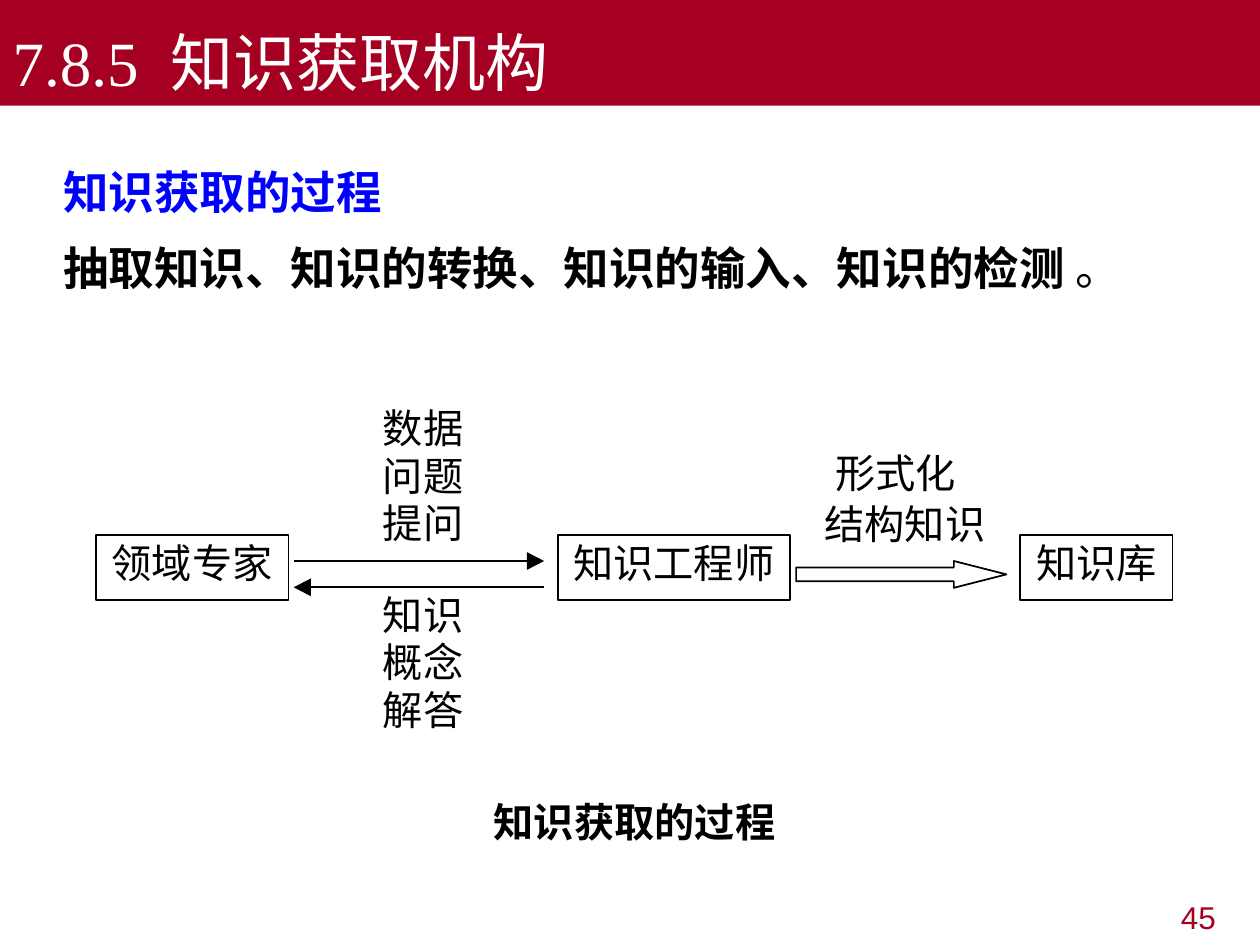
import pptx
import pptx.dml.color
import pptx.enum.shapes
import pptx.enum.text
import pptx.oxml.ns
import pptx.util
import lxml.etree

Cm = pptx.util.Cm
Pt = pptx.util.Pt
ALIGN = pptx.enum.text.PP_ALIGN
ANCHOR = pptx.enum.text.MSO_ANCHOR
FIT = pptx.enum.text.MSO_AUTO_SIZE
SANS = "Noto Sans CJK SC"
SERIF = "Times New Roman"
RED, BLUE, BLACK, WHITE = "A50021", "0000FF", "000000", "FFFFFF"


def tint(text):
    """Turn a hex string into a colour."""
    return pptx.dml.color.RGBColor.from_string(text)


def tag(parent, name):
    """Append an empty drawing element."""
    return lxml.etree.SubElement(parent, pptx.oxml.ns.qn(name))


def place(shape, box):
    """Move a shape to a box given in centimetres."""
    shape.left, shape.top, shape.width, shape.height = map(Cm, box)


def pad(frame, side, top):
    """Set the inner margins of a text frame in centimetres."""
    frame.margin_left = frame.margin_right = Cm(side)
    frame.margin_top = frame.margin_bottom = Cm(top)


def add_run(para, text, size, color=BLACK, bold=False, font=SANS):
    """Add one formatted run to a paragraph."""
    run = para.add_run()
    run.text = text
    run.font.size = Pt(size)
    run.font.bold = bold
    run.font.name = font
    run.font.color.rgb = tint(color)
    if font != "Arial":
        tag(run.font._element, "a:ea").set("typeface", SANS)


def paint(shape, fill=None, line=None):
    """Give a shape its fill and outline, without a shadow."""
    shape.shadow.inherit = False
    if fill:
        shape.fill.solid()
        shape.fill.fore_color.rgb = tint(fill)
    else:
        shape.fill.background()
    if line:
        shape.line.color.rgb = tint(line)
        shape.line.width = Pt(1)
    else:
        shape.line.fill.background()


def label(slide, box, text, bold=False):
    """Add a one-line label without margins."""
    shape = slide.shapes.add_textbox(*map(Cm, box))
    frame = shape.text_frame
    pad(frame, 0, 0)
    frame.word_wrap = False
    frame.auto_size = FIT.SHAPE_TO_FIT_TEXT
    add_run(frame.paragraphs[0], text, 23, bold=bold)


def outline(slide, points, fill=None, line=None):
    """Draw a closed outline through points in centimetres."""
    first, *rest = [(Cm(x), Cm(y)) for x, y in points]
    pen = slide.shapes.build_freeform(*first)
    pen.add_line_segments(rest, close=True)
    paint(pen.convert_to_shape(), fill, line)


def arrow(slide, start, tip, y):
    """Draw a level arrow with a solid head."""
    neck = tip - 0.35 if tip > start else tip + 0.35
    line = slide.shapes.add_connector(
        pptx.enum.shapes.MSO_CONNECTOR.STRAIGHT, Cm(start), Cm(y), Cm(neck), Cm(y))
    line.line.color.rgb = tint(BLACK)
    line.line.width = Pt(1)
    tag(line._element.spPr, "a:effectLst")
    outline(slide, [(neck, y - 0.18), (tip, y), (neck, y + 0.18)], fill=BLACK)


def header(slide, box):
    """Fill the title band."""
    title = slide.shapes.title
    place(title, box)
    paint(title, RED)
    frame = title.text_frame
    frame.auto_size = FIT.NONE
    frame.vertical_anchor = ANCHOR.BOTTOM
    para = frame.paragraphs[0]
    para.alignment = ALIGN.LEFT
    add_run(para, "7.8.5  知识获取机构", 36, WHITE, font=SERIF)


def body(slide, box):
    """Fill the body with its heading and sentence."""
    holder = slide.placeholders[1]
    place(holder, box)
    frame = holder.text_frame
    frame.auto_size = FIT.NONE
    lines = [
        [("知识获取的过程", BLUE, True)],
        [("抽取知识、知识的转换、知识的输入、知识的检测", BLACK, True), (" 。", BLACK, False)],
    ]
    for index, runs in enumerate(lines):
        para = frame.add_paragraph() if index else frame.paragraphs[0]
        props = para._p.get_or_add_pPr()
        props.set("marL", "0")
        props.set("indent", "0")
        tag(props, "a:buNone")
        para.line_spacing = 1.4
        para.space_before = Pt(0)
        for text, color, bold in runs:
            add_run(para, text, 26, color, bold, SERIF)


def node(slide, box, text):
    """Draw one framed node of the diagram."""
    shape = slide.shapes.add_shape(pptx.enum.shapes.MSO_SHAPE.RECTANGLE, *map(Cm, box))
    paint(shape, line=BLACK)
    frame = shape.text_frame
    pad(frame, 0, 0.08)
    frame.word_wrap = False
    frame.vertical_anchor = ANCHOR.TOP
    para = frame.paragraphs[0]
    para.alignment = ALIGN.CENTER
    add_run(para, text, 23)


def diagram(slide, box):
    """Draw the flow from expert to knowledge base."""
    left, top, width, height = box
    step, row = 9.32, 0.96
    nodes = [("领域专家", 3.89), ("知识工程师", 4.67), ("知识库", 3.07)]
    for index, (text, wide) in enumerate(nodes):
        node(slide, (left + index * step, top + 2.65, wide, 1.32), text)

    groups = [(0, ["数据", "问题", "提问"]), (3.76, ["知识", "概念", "解答"])]
    for start, words in groups:
        for index, word in enumerate(words):
            label(slide, (left + 5.79, top + start + index * row, 1.68, row), word)
    label(slide, (left + 14.91, top + 0.91, 2.5, row), "形式化")
    label(slide, (left + 14.69, top + 1.93, 3.35, row), "结构知识")

    near, far = left + 3.99, left + 9.04
    arrow(slide, near, far, top + 3.18)
    arrow(slide, far, near, top + 3.71)

    tail, neck, tip, mid = left + 14.12, left + 17.3, left + 18.36, top + 3.45
    upper = [(tail, -0.14), (neck, -0.14), (neck, -0.27)]
    lower = [(x, -y) for x, y in reversed(upper)]
    points = upper + [(tip, 0)] + lower
    outline(slide, [(x, mid + y) for x, y in points], line=BLACK)

    label(slide, (left + 8.02, top + height - row, 5.76, row), "知识获取的过程", True)


def number(slide, box):
    """Add the page number."""
    shape = slide.shapes.add_textbox(*map(Cm, box))
    shape.text_frame.word_wrap = True
    para = shape.text_frame.paragraphs[0]
    para.alignment = ALIGN.RIGHT
    add_run(para, "45", 18, RED, font="Arial")


def main():
    """Build the slide and save it."""
    deck = pptx.Presentation()
    deck.slide_width, deck.slide_height = Cm(25.4), Cm(19.05)
    slide = deck.slides.add_slide(deck.slide_layouts[1])
    header(slide, (0, 0, 25.4, 2.13))
    body(slide, (1.02, 2.74, 22.91, 3.35))
    diagram(slide, (1.93, 8.13, 21.72, 8.91))
    number(slide, (19.25, 17.98, 5.51, 0.99))
    deck.save("out.pptx")


if __name__ == "__main__":
    main()
